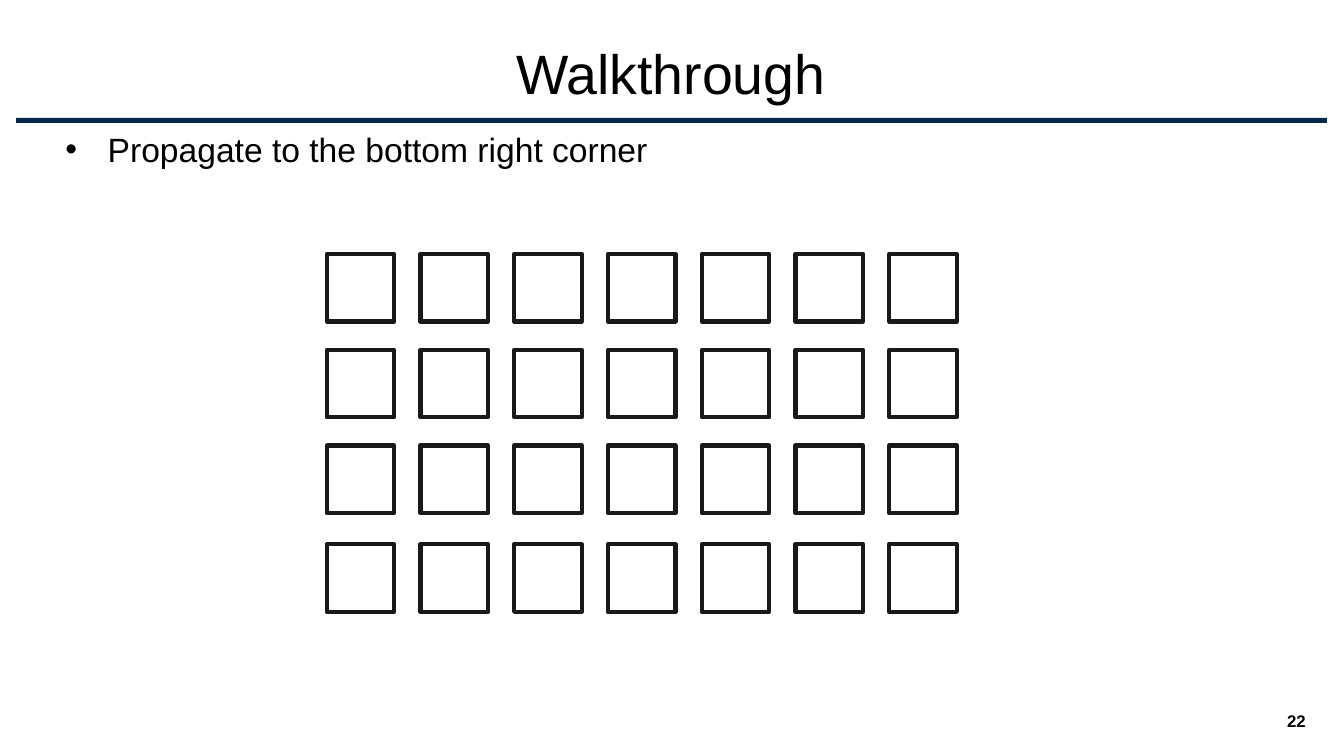
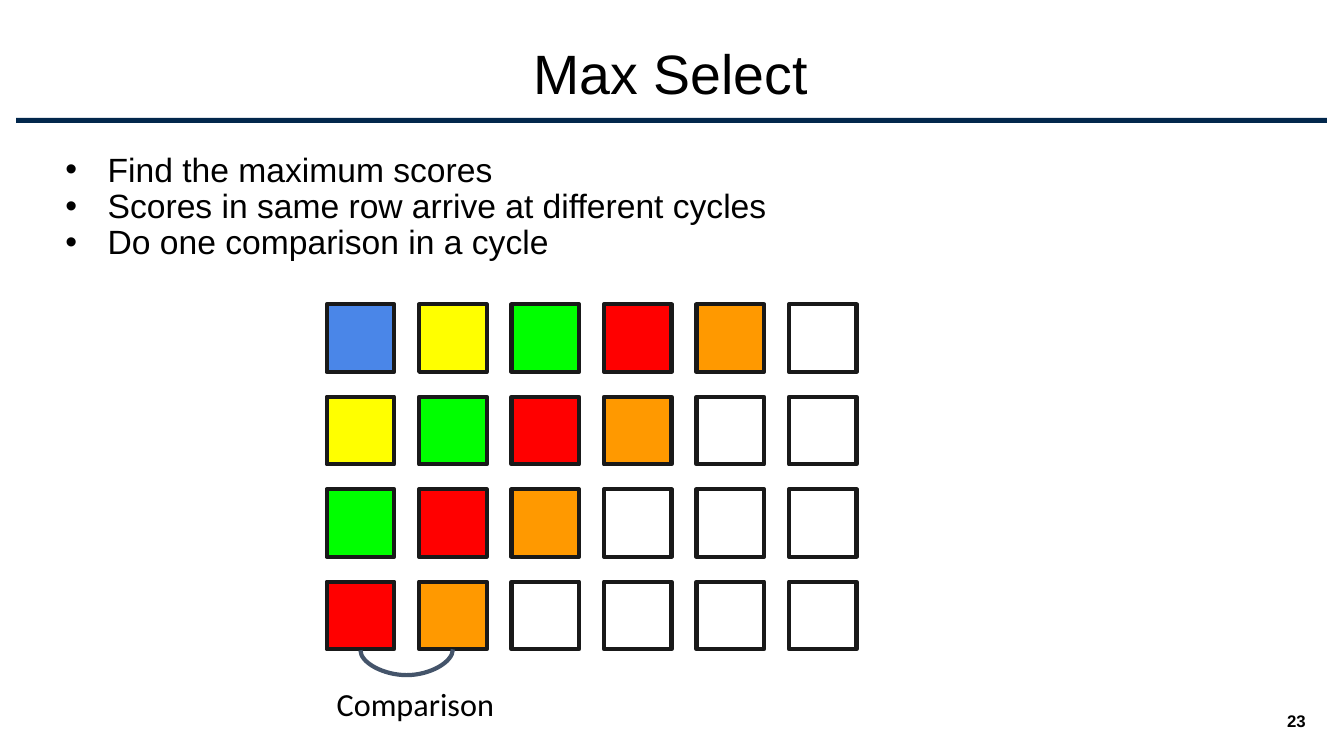
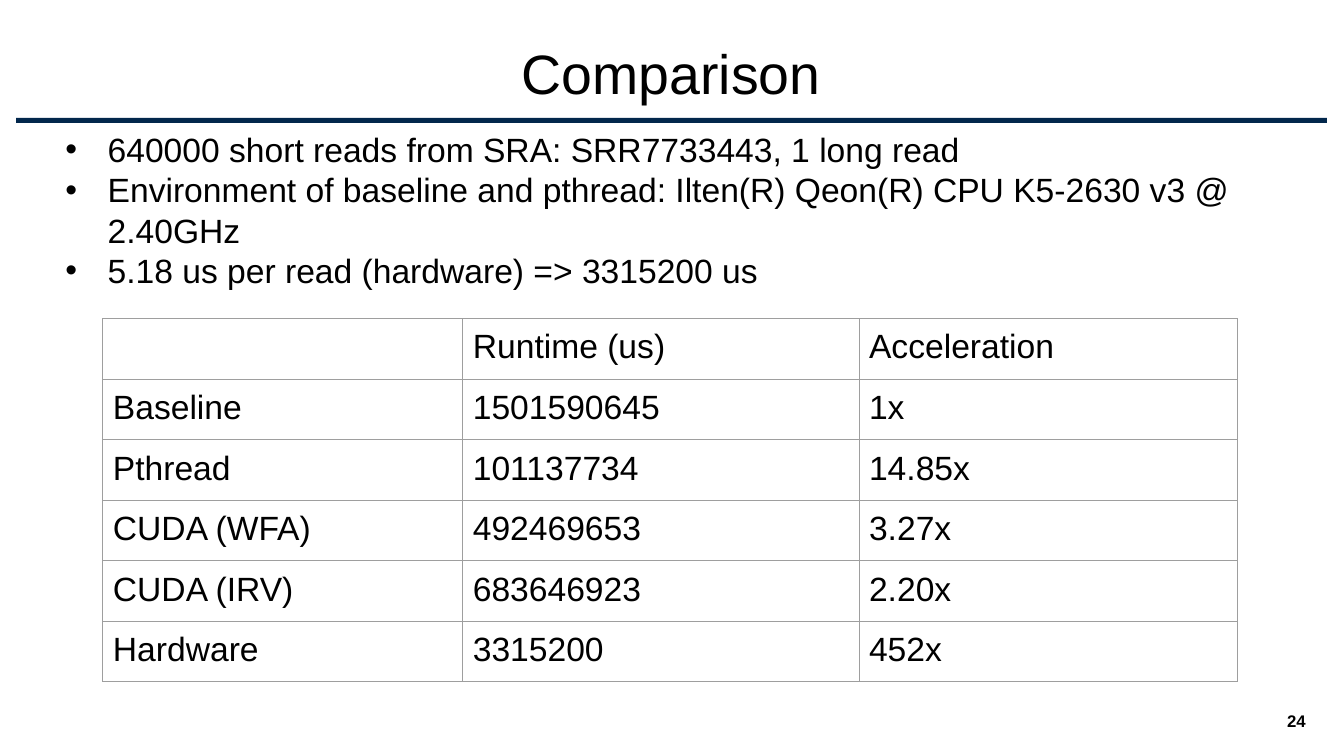
"""Build three slides on score grids, max selection and runtimes."""
import pptx
import pptx.dml.color
import pptx.enum.shapes
import pptx.enum.text
import pptx.oxml
import pptx.oxml.ns
import pptx.util

Inches = pptx.util.Inches
Pt = pptx.util.Pt
ALIGN = pptx.enum.text.PP_ALIGN
ANCHOR = pptx.enum.text.MSO_ANCHOR
SHAPE = pptx.enum.shapes.MSO_SHAPE
COLORS = {
    "ink": "000000", "band": "02274C", "edge": "191919", "rule": "9E9E9E",
    "curve": "44546A", "white": "FFFFFF", "blue": "4A86E8", "yellow": "FFFF00",
    "green": "00FF00", "red": "FF0000", "orange": "FF9900",
}
SIDE = 0.67
LEFT = 3.24


def color(name):
    return pptx.dml.color.RGBColor.from_string(COLORS[name])


def node(tag, inner=""):
    name = tag.split()[0]
    space = pptx.oxml.ns.nsdecls("a")
    return pptx.oxml.parse_xml(f"<a:{tag} {space}>{inner}</a:{name}>")


def fill(name):
    return f'<a:solidFill><a:srgbClr val="{COLORS[name]}"/></a:solidFill>'


def write(frame, text, size=24, font="Arial", bold=False, align=ALIGN.LEFT,
          first=None, rest=None, bullet=False):
    frame.word_wrap = True
    for i, line in enumerate(text.split("\n")):
        para = frame.paragraphs[0] if i == 0 else frame.add_paragraph()
        para.alignment = align
        para.line_spacing = rest if i else first
        run = para.add_run()
        run.text = line
        run.font.size = Pt(size)
        run.font.name = font
        run.font.bold = bold
        run.font.color.rgb = color("ink")
        if bullet:
            props = para._p.get_or_add_pPr()
            props.set("marL", str(Inches(0.5)))
            props.set("indent", str(Inches(-0.42)))
            props.append(node("buClr", f'<a:srgbClr val="{COLORS["ink"]}"/>'))
            props.append(node('buFont typeface="Arial"'))
            props.append(node('buChar char="•"'))


class Deck:
    def __init__(self):
        self.file = pptx.Presentation()
        self.file.slide_width = Inches(13.33)
        self.file.slide_height = Inches(7.5)
        self.slide = None

    def page(self, title, number):
        self.slide = self.file.slides.add_slide(self.file.slide_layouts[5])
        self.box(0.16, 1.17, 13, 0.05, "band")
        head = self.slide.shapes.title
        head.left, head.top = Inches(0.47), Inches(0.4)
        head.width, head.height = Inches(12.37), Inches(0.72)
        frame = head.text_frame
        frame.auto_size = pptx.enum.text.MSO_AUTO_SIZE.NONE
        frame.vertical_anchor = ANCHOR.MIDDLE
        write(frame, title, size=39.6, align=ALIGN.CENTER, first=0.9)
        foot = self.text(10.05, 6.95, 3, 0.4, str(number),
                         size=12, bold=True, align=ALIGN.RIGHT)
        foot.vertical_anchor = ANCHOR.MIDDLE

    def text(self, left, top, width, height, text, **style):
        area = map(Inches, (left, top, width, height))
        frame = self.slide.shapes.add_textbox(*area).text_frame
        write(frame, text, **style)
        return frame

    def points(self, top, text, rest=0.9):
        self.text(0.47, top, 12.37, 5.48, text,
                  first=0.9, rest=rest, bullet=True)

    def box(self, left, top, width, height, tone, edge=None):
        area = map(Inches, (left, top, width, height))
        shape = self.slide.shapes.add_shape(SHAPE.RECTANGLE, *area)
        shape.shadow.inherit = False
        shape.fill.solid()
        shape.fill.fore_color.rgb = color(tone)
        if edge:
            shape.line.color.rgb = color(edge)
            shape.line.width = Pt(3)
        else:
            shape.line.fill.background()
        return shape

    def grid(self, tops, step, count, tones=()):
        rows = []
        for i, top in enumerate(tops):
            row = []
            for j in range(count):
                tone = tones[i + j] if i + j < len(tones) else "white"
                row.append(self.box(LEFT + j * step, top, SIDE, SIDE,
                                    tone, "edge"))
            rows.append(row)
        return rows

    def link(self, start, end, depth):
        kind = pptx.enum.shapes.MSO_CONNECTOR.CURVE
        line = self.slide.shapes.add_connector(kind, 0, 0, 0, 0)
        line.begin_connect(start, 2)
        line.end_connect(end, 2)
        line.line.color.rgb = color("curve")
        line.line.width = Pt(3)
        span = end.left - start.left
        thin = Inches(0.01)
        line.left = start.left + (start.width + span - thin) // 2
        line.top = start.top + start.height + (thin - span) // 2
        line.width, line.height = thin, span
        props = line._element.spPr
        props.xfrm.set("rot", "16200000")
        props.xfrm.set("flipH", "1")
        ratio = round(Inches(depth) / thin * 100000)
        guides = props.prstGeom.get_or_add_avLst()
        guides.append(node(f'gd name="adj1" fmla="val {ratio}"'))
        props.append(node("effectLst"))

    def table(self, left, top, widths, height, rows):
        area = map(Inches, (left, top, sum(widths), height * len(rows)))
        table = self.slide.shapes.add_table(
            len(rows), len(widths), *area).table
        table.first_row = table.horz_banding = False
        for col, width in zip(table.columns, widths):
            col.width = Inches(width)
        for i, row in enumerate(rows):
            table.rows[i].height = Inches(height)
            for j, text in enumerate(row):
                self.cell(table.cell(i, j), text)

    def cell(self, cell, text):
        cell.margin_left = cell.margin_right = Inches(0.1)
        cell.margin_top = cell.margin_bottom = Inches(0.1)
        if text:
            write(cell.text_frame, text)
        props = cell._tc.get_or_add_tcPr()
        for side in "LRTB":
            props.append(node(f'ln{side} w="{Pt(0.75)}"', fill("rule")))
        cell.fill.background()


def main():
    deck = Deck()

    deck.page("Walkthrough", 22)
    deck.points(1.27, "Propagate to the bottom right corner")
    deck.grid((2.52, 3.47, 4.42, 5.4), 0.93, 7)

    deck.page("Max Select", 23)
    deck.points(1.47, "Find the maximum scores\n"
                "Scores in same row arrive at different cycles\n"
                "Do one comparison in a cycle")
    step = 0.917
    tops = [3.02 + i * step for i in range(4)]
    cells = deck.grid(tops, step, 6,
                      ("blue", "yellow", "green", "red", "orange"))
    deck.link(cells[3][0], cells[3][1], 0.26)
    label = deck.text(LEFT, 6.69, 8.99, 0.59, "Comparison",
                      size=23, font="Calibri")
    label.margin_top = label.margin_bottom = Inches(0.1)

    deck.page("Comparison", 24)
    deck.points(1.27, "640000 short reads from SRA: SRR7733443, 1 long read\n"
                "Environment of baseline and pthread: "
                "Ilten(R) Qeon(R) CPU K5-2630 v3 @ 2.40GHz\n"
                "5.18 us per read (hardware) => 3315200 us", rest=1.0)
    deck.table(1.02, 3.16, (3.57, 3.93, 3.75), 0.57, (
        ("", "Runtime (us)", "Acceleration"),
        ("Baseline", "1501590645", "1x"),
        ("Pthread", "101137734", "14.85x"),
        ("CUDA (WFA)", "492469653", "3.27x"),
        ("CUDA (IRV)", "683646923", "2.20x"),
        ("Hardware", "3315200", "452x"),
    ))

    deck.file.save("out.pptx")


if __name__ == "__main__":
    main()
